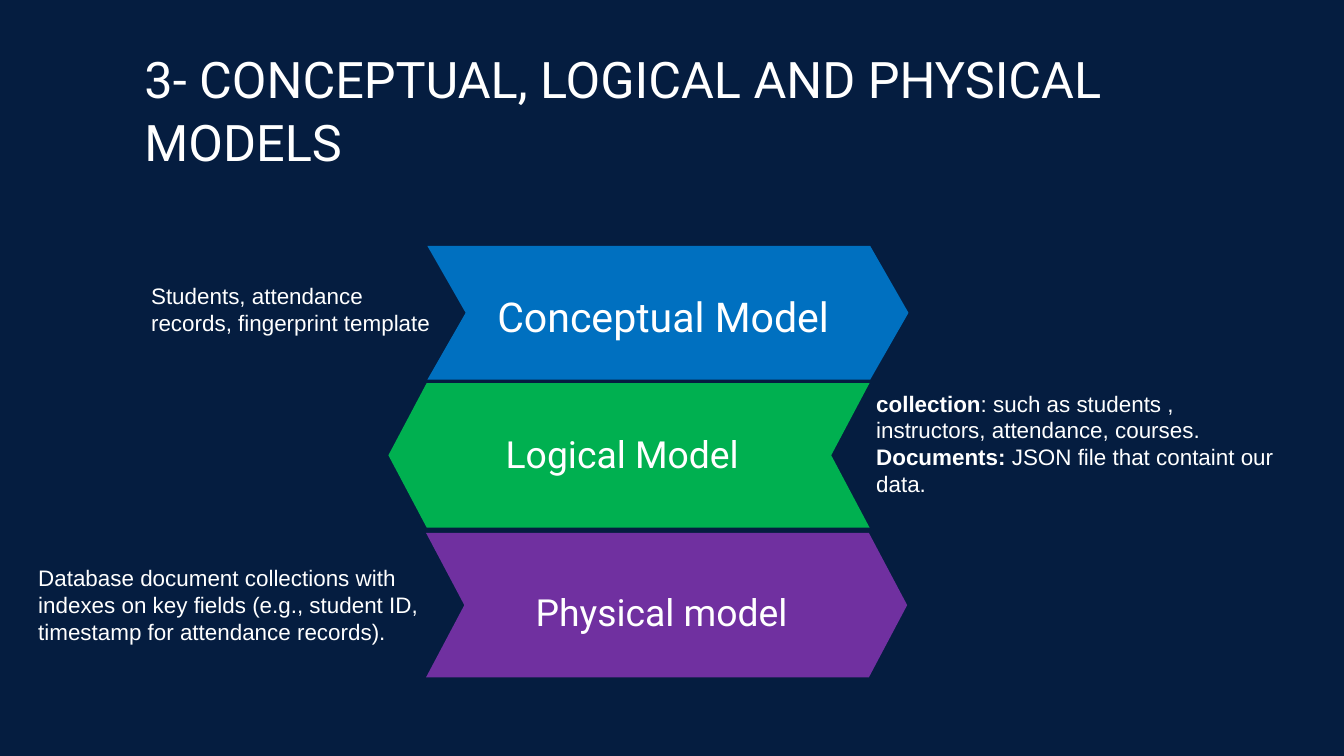
from pptx import Presentation
from pptx.dml.color import RGBColor
from pptx.enum.text import MSO_AUTO_SIZE, PP_ALIGN
from pptx.util import Inches, Pt

NAVY = RGBColor(0x05, 0x1D, 0x40)
WHITE = RGBColor(0xFF, 0xFF, 0xFF)
BLUE = RGBColor(0x00, 0x70, 0xC0)
GREEN = RGBColor(0x00, 0xB0, 0x50)
PURPLE = RGBColor(0x70, 0x30, 0xA0)

WIDTH, HEIGHT = 20, 11.25
ARROW_WIDTH, POINT = 7.16, 0.57
LEFT, CENTER = PP_ALIGN.LEFT, PP_ALIGN.CENTER

ARROWS = [
    (6.36, 3.66, 1.99, BLUE, "right"),
    (5.78, 5.7, 2.15, GREEN, "left"),
    (6.34, 7.93, 2.15, PURPLE, "right"),
]

HEADINGS = [
    ("3- CONCEPTUAL, LOGICAL AND PHYSICAL MODELS", (2.15, 0.67, 15.7, 0.91), 54, LEFT, Pt(67.6)),
    ("Conceptual Model", (7.4, 4.33, 5.8, 0.74), 44, LEFT, 1.0),
    ("Logical Model", (5.58, 6.08, 7.36, 0.91), 40, CENTER, 1.5),
    ("Physical model", (7.97, 8.43, 6.24, 0.91), 40, LEFT, 1.5),
]

NOTES = [
    ((2.15, 4.15, 4.55, 0.91), [("", "Students, attendance records, fingerprint template")]),
    ((12.94, 5.75, 6.24, 2.12), [
        ("collection", ": such as students , instructors, attendance, courses."),
        ("Documents: ", "JSON file that containt our data."),
    ]),
    ((0.47, 8.35, 6.24, 1.31), [
        ("", "Database document collections with indexes on key fields "
             "(e.g., student ID, timestamp for attendance records)."),
    ]),
]


def add_arrow(slide, left, top, height, color, direction):
    right, middle, bottom = left + ARROW_WIDTH, top + height / 2, top + height
    outline = [(left, top), (right - POINT, top), (right, middle),
               (right - POINT, bottom), (left, bottom), (left + POINT, middle)]
    if direction == "left":
        outline = [(left + right - x, y) for x, y in outline]
    corners = [(Inches(x), Inches(y)) for x, y in outline]
    builder = slide.shapes.build_freeform(*corners[0], scale=1.0)
    builder.add_line_segments(corners[1:], close=True)
    arrow = builder.convert_to_shape()
    arrow.shadow.inherit = False
    arrow.fill.solid()
    arrow.fill.fore_color.rgb = color
    arrow.line.fill.background()


def add_frame(slide, area):
    frame = slide.shapes.add_textbox(*map(Inches, area)).text_frame
    frame.word_wrap = True
    frame.auto_size = MSO_AUTO_SIZE.SHAPE_TO_FIT_TEXT
    return frame


def set_font(paragraph, name, size):
    font = paragraph.font
    font.name, font.size = name, Pt(size)
    font.color.rgb = WHITE


def add_heading(slide, text, area, size, alignment, spacing):
    frame = add_frame(slide, area)
    frame.margin_left = frame.margin_right = frame.margin_top = frame.margin_bottom = 0
    heading = frame.paragraphs[0]
    heading.text = text
    heading.alignment = alignment
    heading.line_spacing = spacing
    set_font(heading, "Roboto", size)


def add_note(slide, area, entries):
    frame = add_frame(slide, area)
    for index, (term, description) in enumerate(entries):
        entry = frame.add_paragraph() if index else frame.paragraphs[0]
        if term:
            term_run = entry.add_run()
            term_run.text = term
            term_run.font.bold = True
        entry.add_run().text = description
        set_font(entry, "Arial", 24)


def main():
    deck = Presentation()
    deck.slide_width, deck.slide_height = Inches(WIDTH), Inches(HEIGHT)
    slide = deck.slides.add_slide(deck.slide_layouts[6])
    slide.background.fill.solid()
    slide.background.fill.fore_color.rgb = NAVY
    for arrow in ARROWS:
        add_arrow(slide, *arrow)
    for heading in HEADINGS:
        add_heading(slide, *heading)
    for note in NOTES:
        add_note(slide, *note)
    deck.save("out.pptx")


if __name__ == "__main__":
    main()
